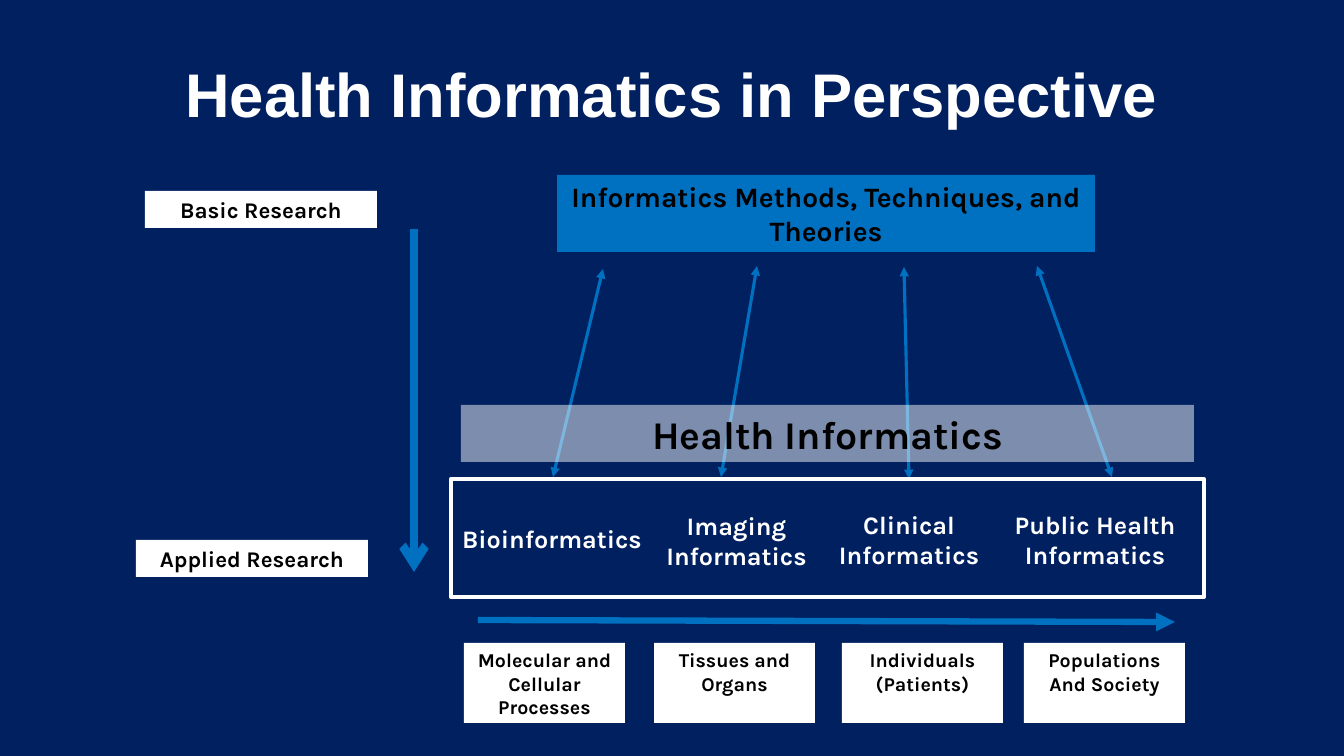
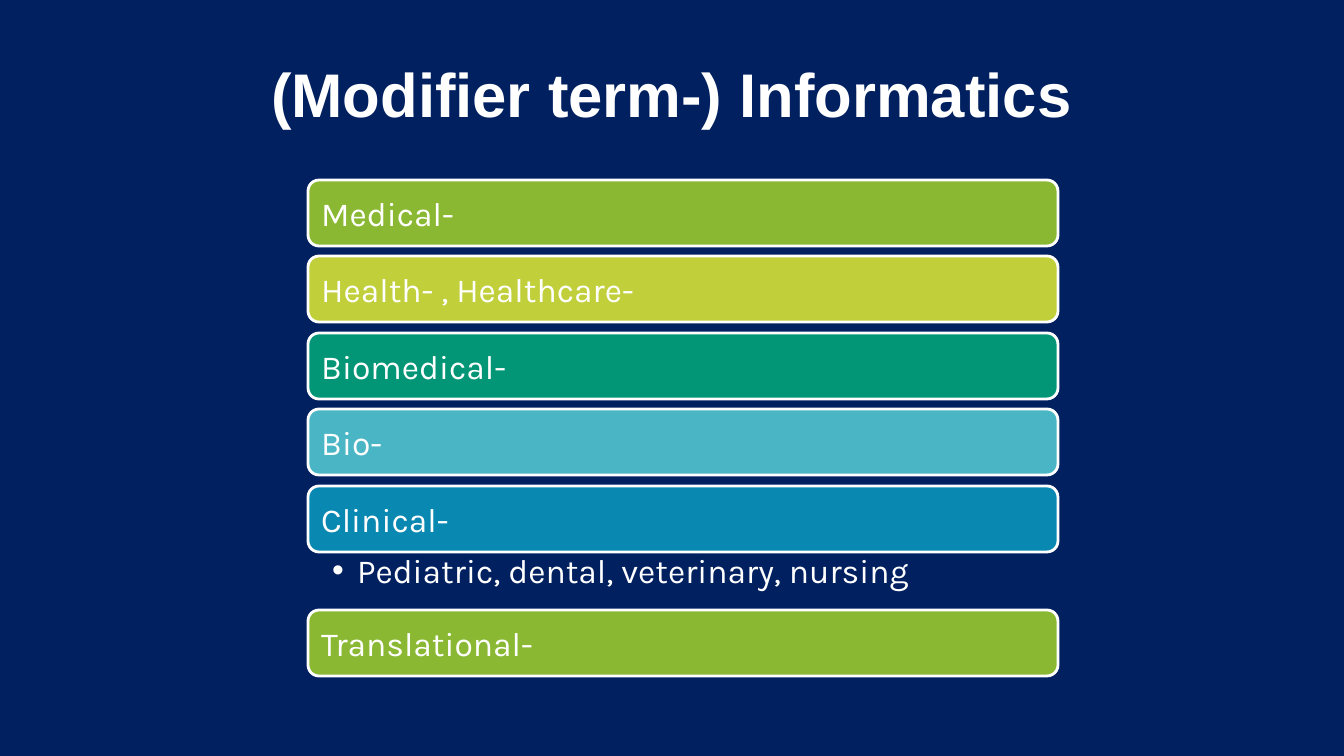
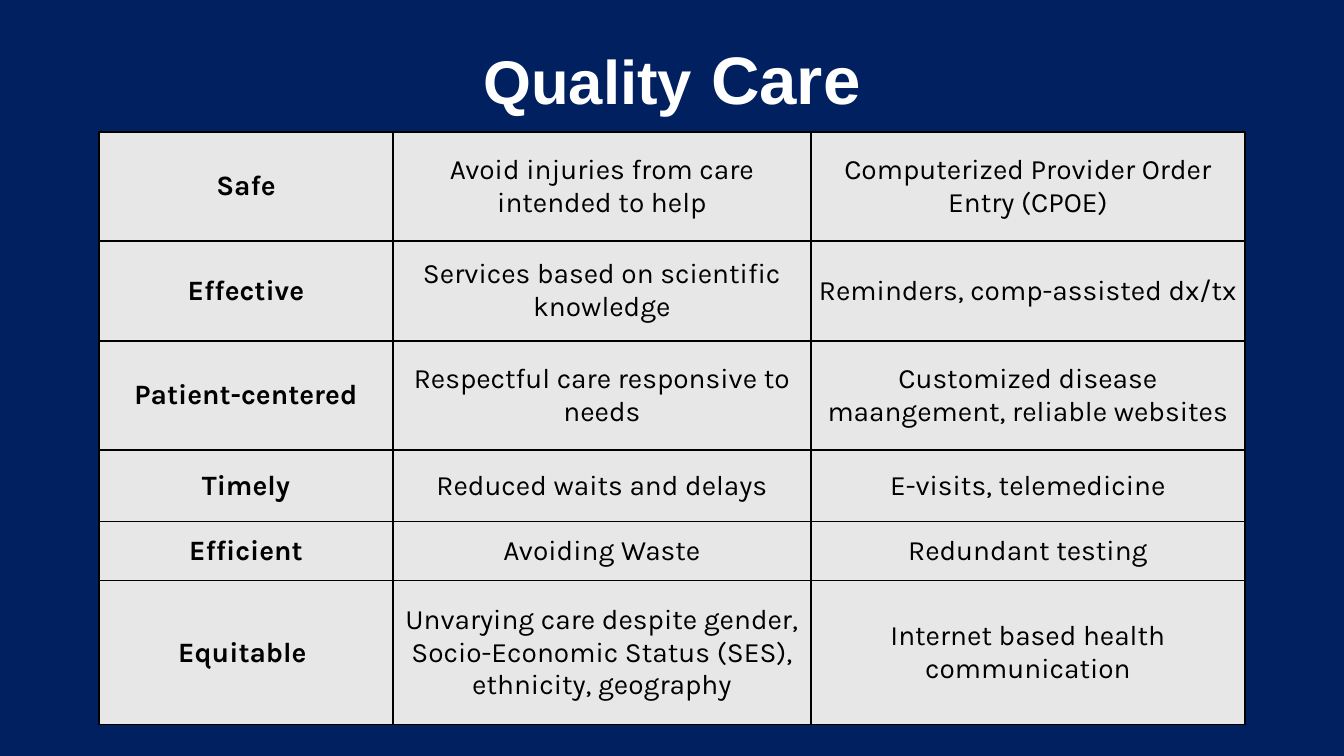
from lxml import etree
from pptx import Presentation
from pptx.dml.color import RGBColor
from pptx.enum import shapes, text
from pptx.oxml import ns
from pptx.util import Emu, Pt

PX = 12192000 / 1344
WIDTH, HEIGHT = 1344, 756

NAVY = RGBColor(0x00, 0x20, 0x60)
BLUE = RGBColor(0x00, 0x70, 0xC0)
WHITE = RGBColor(0xFF, 0xFF, 0xFF)
PAPER = RGBColor(0xFE, 0xFF, 0xFE)
BLACK = RGBColor(0x00, 0x00, 0x00)
GREY = RGBColor(0xE7, 0xE7, 0xE7)
GREEN = RGBColor(0x8A, 0xB8, 0x33)
LIME = RGBColor(0xC0, 0xCF, 0x3A)
TEAL = RGBColor(0x02, 0x96, 0x76)
AQUA = RGBColor(0x4A, 0xB5, 0xC4)
CYAN = RGBColor(0x09, 0x89, 0xB1)

TITLE_FONT, BODY_FONT = "Arial", "Karla"
CENTER, LEFT = text.PP_ALIGN.CENTER, text.PP_ALIGN.LEFT
TOP, MIDDLE, BOTTOM = (text.MSO_ANCHOR.TOP, text.MSO_ANCHOR.MIDDLE,
                       text.MSO_ANCHOR.BOTTOM)
RECT = shapes.MSO_SHAPE.RECTANGLE
ROUNDED = shapes.MSO_SHAPE.ROUNDED_RECTANGLE


def px(*lengths):
    return [Emu(round(length * PX)) for length in lengths]


def add_xml(parent, tag, **attributes):
    return etree.SubElement(parent, ns.qn(tag), attributes)


# Text
def style_run(run, size, color, bold, font=BODY_FONT):
    run.font.name = font
    run.font.size = Pt(size)
    run.font.bold = bold
    run.font.color.rgb = color


def write(frame, words, size, color, bold=True, align=CENTER, anchor=TOP,
          insets=(10, 5, 10, 5)):
    frame.text = words
    frame.word_wrap = True
    frame.auto_size = text.MSO_AUTO_SIZE.NONE
    frame.vertical_anchor = anchor
    (frame.margin_left, frame.margin_top,
     frame.margin_right, frame.margin_bottom) = px(*insets)
    for paragraph in frame.paragraphs:
        paragraph.alignment = align
        for run in paragraph.runs:
            style_run(run, size, color, bold)


def place(holder, box):
    holder.left, holder.top, holder.width, holder.height = px(*box)


def add_title(slide, parts, height=126, anchor=MIDDLE):
    title = slide.shapes.title
    place(title, (67, 30, 1210, height))
    frame = title.text_frame
    frame.auto_size = text.MSO_AUTO_SIZE.NONE
    frame.vertical_anchor = anchor
    heading = frame.paragraphs[0]
    heading.alignment = CENTER
    for words, size in parts:
        run = heading.add_run()
        run.text = words
        style_run(run, size, WHITE, True, TITLE_FONT)


def add_label(slide, box, words, size):
    label = slide.shapes.add_textbox(*px(*box))
    write(label.text_frame, words, size, WHITE)


# Shapes and lines
def add_box(slide, box, fill=None, line=None, line_width=0, kind=RECT):
    panel = slide.shapes.add_shape(kind, *px(*box))
    panel.shadow.inherit = False
    if fill is None:
        panel.fill.background()
    else:
        panel.fill.solid()
        panel.fill.fore_color.rgb = fill
    if line is None:
        panel.line.fill.background()
    else:
        panel.line.color.rgb = line
        panel.line.width = Pt(line_width)
    return panel


def add_text_box(slide, box, words, size, fill=PAPER):
    panel = add_box(slide, box, fill)
    write(panel.text_frame, words, size, BLACK)
    return panel


def add_arrow(slide, ends, width, tail="triangle", head=None):
    arrow = slide.shapes.add_connector(shapes.MSO_CONNECTOR.STRAIGHT, *px(*ends))
    arrow.line.color.rgb = BLUE
    arrow.line.width = Pt(width)
    outline = arrow.line._get_or_add_ln()
    if head:
        add_xml(outline, "a:headEnd", type=head)
    add_xml(outline, "a:tailEnd", type=tail)
    add_xml(arrow._element.spPr, "a:effectLst")


def set_opacity(panel, percent):
    color = panel._element.spPr.find(ns.qn("a:solidFill"))[0]
    add_xml(color, "a:alpha", val=str(percent * 1000))


# Table
def add_borders(cell, color, width):
    properties = cell._tc.get_or_add_tcPr()
    for side in ("a:lnL", "a:lnR", "a:lnT", "a:lnB"):
        border = add_xml(properties, side, w=str(Pt(width)))
        add_xml(add_xml(border, "a:solidFill"), "a:srgbClr", val=str(color))


def add_grid(slide, left, top, columns, heights, rows):
    box = px(left, top, sum(columns), sum(heights))
    grid = slide.shapes.add_table(len(rows), len(columns), *box).table
    grid.first_row = grid.horz_banding = False
    for column, width in zip(grid.columns, px(*columns)):
        column.width = width
    for row, height, entries in zip(grid.rows, px(*heights), rows):
        row.height = height
        for number, (cell, words) in enumerate(zip(row.cells, entries)):
            add_borders(cell, BLACK, 1)
            cell.fill.solid()
            cell.fill.fore_color.rgb = GREY
            cell.vertical_anchor = MIDDLE
            (cell.margin_left, cell.margin_top,
             cell.margin_right, cell.margin_bottom) = px(5, 2, 5, 2)
            cell.text = words
            paragraph = cell.text_frame.paragraphs[0]
            paragraph.alignment = CENTER
            style_run(paragraph.runs[0], 20, BLACK, number == 0)


# Slides
def build_perspective(slide):
    add_title(slide, [("Health Informatics in Perspective", 44)])

    # Research scale
    add_text_box(slide, (145, 191, 232, 37), "Basic Research", 16)
    add_arrow(slide, (414, 229, 414, 572), 6, tail="arrow")
    add_text_box(slide, (136, 540, 232, 37), "Applied Research", 16)

    # Methods and fields
    add_text_box(slide, (557, 175, 538, 77),
                 "Informatics Methods, Techniques, and Theories", 20, BLUE)
    for ends in ((603, 269, 553, 477), (757, 266, 721, 477),
                 (904, 267, 909, 479), (1037, 266, 1112, 477)):
        add_arrow(slide, ends, 2.25, head="triangle")
    for box, field in (((442, 518, 220, 40), "Bioinformatics"),
                       ((647, 505, 179, 71), "Imaging Informatics"),
                       ((817, 504, 184, 71), "Clinical Informatics"),
                       ((986, 504, 218, 71), "Public Health Informatics")):
        add_label(slide, box, field, 18)

    # Subjects from small to large
    add_arrow(slide, (478, 620, 1175, 622), 4.5)
    for left, subject in ((464, "Molecular and\nCellular\nProcesses"),
                          (654, "Tissues and\nOrgans"),
                          (842, "Individuals\n(Patients)"),
                          (1024, "Populations\nAnd Society")):
        add_text_box(slide, (left, 643, 161, 80), subject, 14)

    # Frame and translucent band
    add_box(slide, (451, 479, 753, 118), line=PAPER, line_width=3)
    band = add_text_box(slide, (461, 405, 733, 57), "Health Informatics", 28)
    set_opacity(band, 49)


def build_modifiers(slide):
    add_title(slide, [("(Modifier term-) Informatics", 44)])

    # Bars, the last one below the examples
    bars = [("Medical-", GREEN), ("Health- , Healthcare-", LIME),
            ("Biomedical-", TEAL), ("Bio-", AQUA), ("Clinical-", CYAN),
            ("Translational-", GREEN)]
    tops = [180 + 153 * step // 2 for step in range(5)] + [610]
    for top, (term, color) in zip(tops, bars):
        bar = add_box(slide, (308, top, 750, 66), color, WHITE, 2, ROUNDED)
        write(bar.text_frame, term, 24, WHITE, False, LEFT, MIDDLE,
              (10, 10, 10, 10))

    # Examples of clinical fields
    examples = slide.placeholders[1]
    place(examples, (308, 551, 750, 58))
    write(examples.text_frame, "Pediatric, dental, veterinary, nursing", 24,
          WHITE, False, LEFT, insets=(24, 3, 19, 3))
    item = examples.text_frame.paragraphs[0]
    item.line_spacing = 0.9
    item.space_before = Pt(0)
    indent = px(25)[0]
    properties = item._p.get_or_add_pPr()
    properties.set("marL", str(indent))
    properties.set("indent", str(-indent))


def build_quality(slide):
    add_title(slide, [("Quality", 44), (" Care", 48)], 93, BOTTOM)
    rows = [
        ("Safe", "Avoid injuries from care intended to help",
         "Computerized Provider Order Entry (CPOE)"),
        ("Effective", "Services based on scientific knowledge",
         "Reminders, comp-assisted dx/tx"),
        ("Patient-centered", "Respectful care responsive to needs",
         "Customized disease maangement, reliable websites"),
        ("Timely", "Reduced waits and delays", "E-visits, telemedicine"),
        ("Efficient", "Avoiding Waste", "Redundant testing"),
        ("Equitable ", "Unvarying care despite gender, Socio-Economic Status "
         "(SES), ethnicity, geography", "Internet based health communication"),
    ]
    add_grid(slide, 99, 132, (294, 418, 434), (109, 100, 109, 72, 59, 144), rows)


def main():
    deck = Presentation()
    deck.slide_width, deck.slide_height = px(WIDTH, HEIGHT)
    backdrop = deck.slide_master.background.fill
    backdrop.solid()
    backdrop.fore_color.rgb = NAVY

    content, title_only = deck.slide_layouts[1], deck.slide_layouts[5]
    for layout, build in ((title_only, build_perspective),
                          (content, build_modifiers),
                          (title_only, build_quality)):
        build(deck.slides.add_slide(layout))
    deck.save("out.pptx")


if __name__ == "__main__":
    main()
